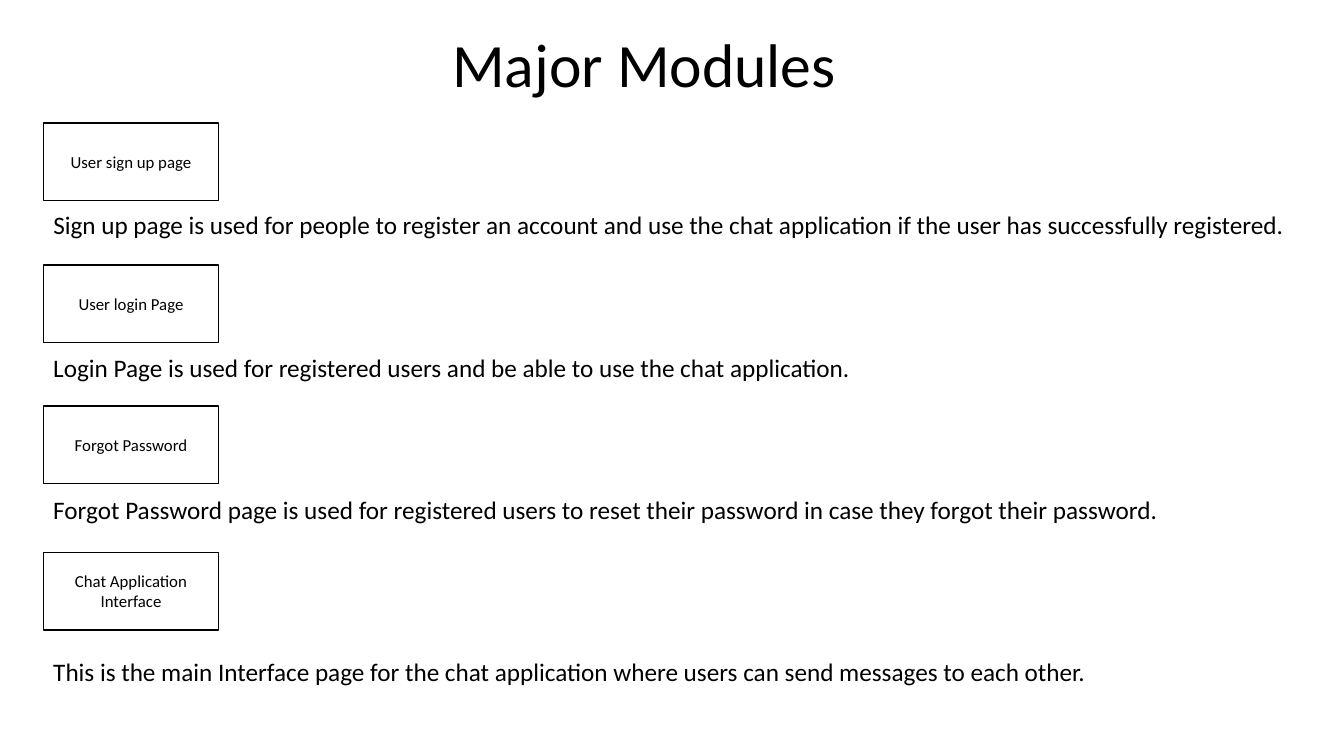
import dataclasses
import typing

import pptx
import pptx.dml.color
import pptx.enum.shapes
import pptx.enum.text
import pptx.util

Inches = pptx.util.Inches
Pt = pptx.util.Pt
ALIGN = pptx.enum.text.PP_ALIGN
ANCHOR = pptx.enum.text.MSO_ANCHOR


@dataclasses.dataclass(frozen=True)
class Theme:
    """Colours, font and type sizes of the slide."""
    ink: pptx.dml.color.RGBColor = pptx.dml.color.RGBColor(0, 0, 0)
    paper: pptx.dml.color.RGBColor = pptx.dml.color.RGBColor(255, 255, 255)
    font: str = "Calibri"
    title: int = 44
    body: int = 18
    label: int = 12


@dataclasses.dataclass(frozen=True)
class Module:
    """A boxed name and the sentence under it; lengths in inches."""
    name: str
    top: float
    text: str
    text_top: float
    width: float


THEME = Theme()
LEFT = Inches(0.43)

MODULES = [
    Module("User sign up page", 1.22,
           "Sign up page is used for people to register an account and use "
           "the chat application if the user has successfully registered.",
           2.03, 12.59),
    Module("User login Page", 2.63,
           "Login Page is used for registered users and be able to use "
           "the chat application.", 3.45, 8.9),
    Module("Forgot Password", 4.03,
           "Forgot Password page is used for registered users to reset "
           "their password in case they forgot their password.",
           4.86, 12.24),
    Module("Chat Application Interface", 5.48,
           "This is the main Interface page for the chat application "
           "where users can send messages to each other.", 6.46, 10.96),
]


def apply(target: typing.Any, values: dict[str, typing.Any]) -> None:
    """Set each named attribute on the target."""
    for key, value in values.items():
        setattr(target, key, value)


def write(shape: typing.Any, text: str, size: int,
          frame: dict[str, typing.Any], para: dict[str, typing.Any]) -> None:
    """Put one styled paragraph in a shape."""
    apply(shape.text_frame, {"word_wrap": True, **frame})
    line = shape.text_frame.paragraphs[0]
    apply(line, para)
    run = line.add_run()
    run.text = text
    apply(run.font, {"name": THEME.font, "size": Pt(size)})
    run.font.color.rgb = THEME.ink


def head(slide: typing.Any, text: str) -> None:
    """Move and fill the title placeholder."""
    title = slide.shapes.title
    apply(title, {"left": Inches(0.64), "top": Inches(-0.05),
                  "width": Inches(11.5), "height": Inches(1.45)})
    write(title, text, THEME.title, {"vertical_anchor": ANCHOR.MIDDLE},
          {"alignment": ALIGN.CENTER, "line_spacing": 0.9})


def box(slide: typing.Any, item: Module) -> None:
    """Draw the outlined box with the module name."""
    shape = slide.shapes.add_shape(
        pptx.enum.shapes.MSO_SHAPE.RECTANGLE,
        LEFT, Inches(item.top), Inches(1.74), Inches(0.77))
    shape.shadow.inherit = False
    shape.fill.solid()
    shape.fill.fore_color.rgb = THEME.paper
    shape.line.color.rgb = THEME.ink
    shape.line.width = Pt(1)
    write(shape, item.name, THEME.label, {"vertical_anchor": ANCHOR.MIDDLE},
          {"alignment": ALIGN.CENTER})


def note(slide: typing.Any, item: Module) -> None:
    """Draw the sentence that explains the module."""
    shape = slide.shapes.add_textbox(
        LEFT, Inches(item.text_top), Inches(item.width), Inches(0.4))
    write(shape, item.text, THEME.body,
          {"auto_size": pptx.enum.text.MSO_AUTO_SIZE.SHAPE_TO_FIT_TEXT,
           "word_wrap": False}, {"alignment": ALIGN.LEFT})


def main() -> None:
    """Build and save the slide."""
    deck = pptx.Presentation()
    apply(deck, {"slide_width": Inches(13.33), "slide_height": Inches(7.5)})
    slide = deck.slides.add_slide(deck.slide_layouts.get_by_name("Title Only"))
    head(slide, "Major Modules")
    for item in MODULES:
        box(slide, item)
        note(slide, item)
    deck.save("out.pptx")


main()
